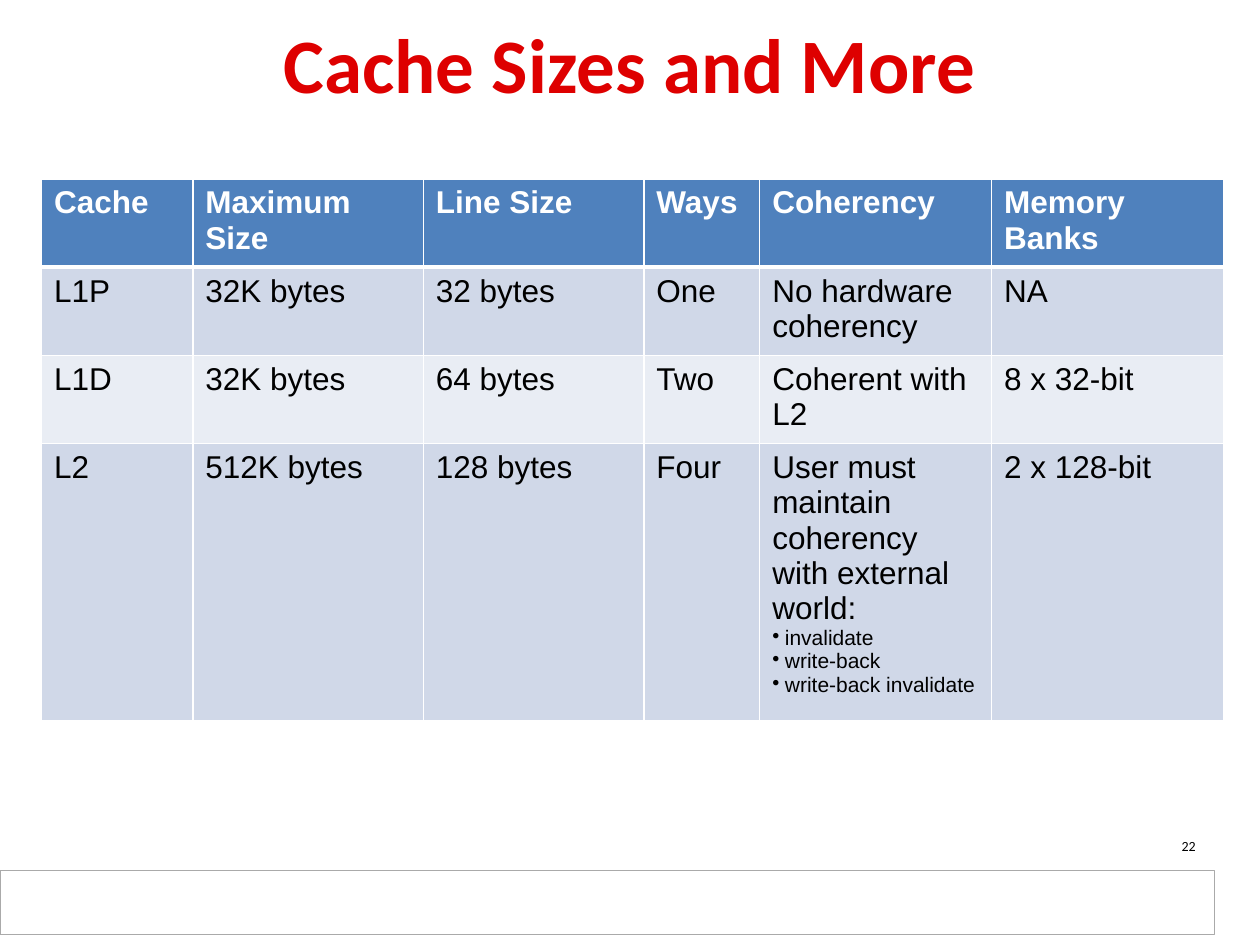
import pptx
import pptx.dml.color
import pptx.enum.shapes
import pptx.enum.text
import pptx.oxml.ns
import pptx.util
from lxml import etree

PX = 9144
HUES = {
    "white": "FFFFFF", "black": "000000", "title": "DE0000", "frame": "AAAAAA",
    "head": "4F81BD", "odd": "D0D8E8", "even": "E9EDF4",
}
ALIGN = pptx.enum.text.PP_ALIGN
ANCHOR = pptx.enum.text.MSO_ANCHOR
COLS = [120, 183, 175, 92, 184, 184]
ROWS = [
    ["Cache", "Maximum Size", "Line Size", "Ways", "Coherency", "Memory Banks"],
    ["L1P", "32K bytes", "32 bytes", "One", "No hardware coherency", "NA"],
    ["L1D", "32K bytes", "64 bytes", "Two", "Coherent with L2", "8 x 32-bit"],
    ["L2", "512K bytes", "128 bytes", "Four",
     "User must maintain coherency with external world:", "2 x 128-bit"],
]
ITEMS = ["invalidate", "write-back", "write-back invalidate"]


def emu(*sizes):
    """Turn px lengths into EMU."""
    return [size * PX for size in sizes]


def rgb(hue):
    """Look up a colour by name."""
    return pptx.dml.color.RGBColor.from_string(HUES[hue])


def style(para, size, hue, face="Arial", bold=False):
    """Set the font of a paragraph."""
    font = para.font
    font.size, font.name, font.bold = pptx.util.Pt(size), face, bold
    font.color.rgb = rgb(hue)


def add(parent, tag, **attrs):
    """Append a drawing element to its parent."""
    return etree.SubElement(parent, pptx.oxml.ns.qn("a:" + tag), attrs)


def bullet(para, gap):
    """Give a paragraph a hanging bullet."""
    props = para._p.get_or_add_pPr()
    props.set("marL", str(gap * PX))
    props.set("indent", str(-gap * PX))
    add(props, "buChar", char="•")


def border(cell, foot):
    """Draw white edges round a cell, with the bottom one foot points wide."""
    props = cell._tc.get_or_add_tcPr()
    for spot, side in enumerate("LRTB"):
        width = pptx.util.Pt(foot if side == "B" else 1)
        line = add(props, "ln" + side, w=str(width))
        add(add(line, "solidFill"), "srgbClr", val=HUES["white"])
        props.insert(spot, line)


def footer(slide, box):
    """Place the framed strip at the foot."""
    kind = pptx.enum.shapes.MSO_SHAPE.RECTANGLE
    strip = slide.shapes.add_shape(kind, *emu(*box))
    strip.shadow.inherit = False
    strip.fill.solid()
    strip.fill.fore_color.rgb = rgb("white")
    strip.line.color.rgb = rgb("frame")
    strip.line.width = pptx.util.Pt(0.75)


def label(slide, box, text, size, hue, bold, align, anchor):
    """Place one line of text in a box."""
    frame = slide.shapes.add_textbox(*emu(*box)).text_frame
    frame.word_wrap = True
    frame.vertical_anchor = anchor
    para = frame.paragraphs[0]
    para.text, para.alignment = text, align
    style(para, size, hue, "Calibri", bold)


def grid(slide, box):
    """Place the table of cache features."""
    shape = slide.shapes.add_table(len(ROWS), len(COLS), *emu(*box))
    table = shape.table
    for col, width in zip(table.columns, COLS):
        col.width = width * PX
    for r, texts in enumerate(ROWS):
        table.rows[r].height = 45 * PX
        head = r == 0
        for c, text in enumerate(texts):
            cell = table.cell(r, c)
            cell.fill.solid()
            cell.fill.fore_color.rgb = rgb("head" if head else "odd" if r % 2 else "even")
            border(cell, 3 if head else 1)
            cell.text = text
            style(cell.text_frame.paragraphs[0], 18, "white" if head else "black", bold=head)
    for item in ITEMS:
        para = table.cell(3, 4).text_frame.add_paragraph()
        para.text = item
        bullet(para, 10)
        style(para, 12, "black")


def main():
    """Build and save the slide."""
    deck = pptx.Presentation()
    deck.slide_width, deck.slide_height = emu(1000, 750)
    slide = deck.slides.add_slide(deck.slide_layouts[6])
    footer(slide, (0, 691, 964, 51))
    label(slide, (50, 8, 900, 83), "Cache Sizes and More", 44, "title", True,
          ALIGN.CENTER, ANCHOR.MIDDLE)
    grid(slide, (33, 142, sum(COLS), 180))
    label(slide, (726, 660, 233, 23), "22", 8, "black", False, ALIGN.RIGHT, ANCHOR.TOP)
    deck.save("out.pptx")


if __name__ == "__main__":
    main()
